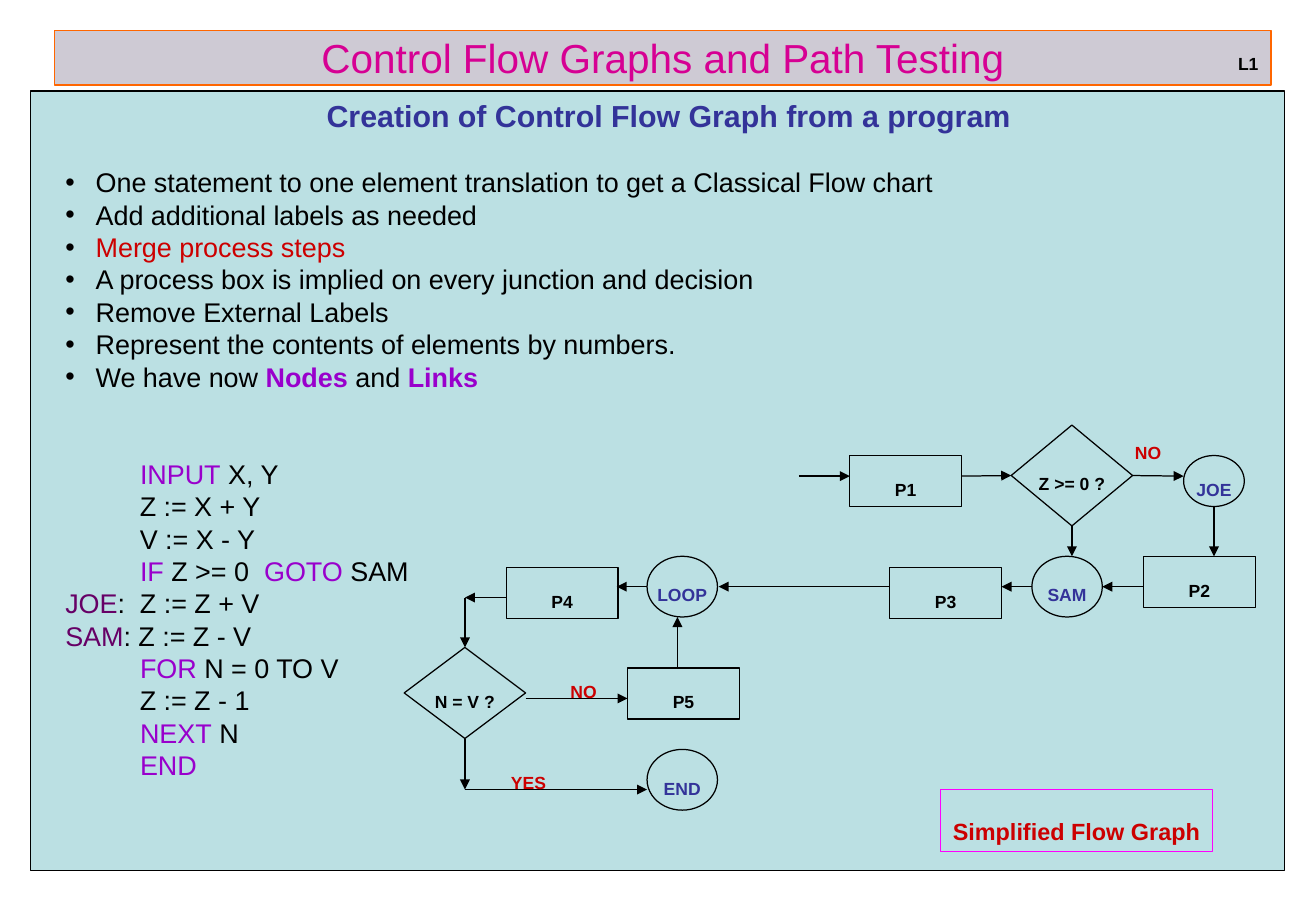
from dataclasses import dataclass

from lxml.etree import SubElement
from pptx import Presentation
from pptx.dml.color import RGBColor
from pptx.enum.shapes import MSO_CONNECTOR as Line, MSO_SHAPE as Shape
from pptx.enum.text import MSO_ANCHOR as Anchor, MSO_AUTO_SIZE as Fit, PP_ALIGN as Align
from pptx.oxml.ns import qn
from pptx.util import Inches, Pt


@dataclass(frozen=True)
class Theme:
    font: str = "Arial"
    title: str = "D60093"
    title_fill: str = "CECAD4"
    title_line: str = "FF6600"
    panel: str = "BBE0E3"
    ink: str = "000000"
    heading: str = "333399"
    alert: str = "CC0000"
    keyword: str = "9900CC"
    label: str = "660066"
    caption_line: str = "FF00FF"
    title_size: int = 24
    heading_size: int = 18
    body_size: int = 16
    node_size: int = 18
    caption_size: int = 24
    line_width: float = 0.75


THEME = Theme()


def write(paragraph, text, size=THEME.body_size, color=THEME.ink, bold=False, lowered=False):
    run = paragraph.add_run()
    run.text = text
    run.font.name, run.font.size, run.font.bold = THEME.font, Pt(size), bold
    run.font.color.rgb = RGBColor.from_string(color)
    if lowered:
        run.font._element.set("baseline", "-12000")


class FlowSlide:
    def __init__(self, deck, theme):
        self.theme = theme
        self.slide = deck.slides.add_slide(deck.slide_layouts[5])
        self.shapes = self.slide.shapes

    def paint(self, shape, fill, line):
        if fill:
            shape.fill.solid()
            shape.fill.fore_color.rgb = RGBColor.from_string(fill)
        else:
            shape.fill.background()
        shape.line.color.rgb = RGBColor.from_string(line)
        shape.line.width = Pt(self.theme.line_width)

    def title(self, text, box):
        title = self.shapes.title
        title.left, title.top, title.width, title.height = map(Inches, box)
        self.paint(title, self.theme.title_fill, self.theme.title_line)
        frame = title.text_frame
        frame.auto_size, frame.vertical_anchor = Fit.NONE, Anchor.MIDDLE
        frame.paragraphs[0].alignment = Align.CENTER
        write(frame.paragraphs[0], text, size=self.theme.title_size, color=self.theme.title)

    def block(self, kind, box, fill=None, line=THEME.ink):
        shape = self.shapes.add_shape(kind, *map(Inches, box))
        shape.shadow.inherit = False
        self.paint(shape, fill, line)
        return shape

    def node(self, kind, text, box, color=THEME.ink):
        shape = self.block(kind, box, self.theme.panel)
        frame = shape.text_frame
        frame.word_wrap, frame.vertical_anchor = False, Anchor.MIDDLE
        frame.paragraphs[0].alignment = Align.CENTER
        write(frame.paragraphs[0], text, size=self.theme.node_size, color=color,
              bold=True, lowered=True)
        return shape

    def tag(self, text, box, size=THEME.node_size, color=THEME.alert, line=None):
        if line:
            shape = self.block(Shape.RECTANGLE, box, line=line)
        else:
            shape = self.shapes.add_textbox(*map(Inches, box))
        frame = shape.text_frame
        frame.word_wrap, frame.auto_size = False, Fit.SHAPE_TO_FIT_TEXT
        frame.vertical_anchor = Anchor.TOP
        frame.paragraphs[0].alignment = Align.LEFT
        write(frame.paragraphs[0], text, size=size, color=color, bold=True, lowered=True)

    def text_box(self, box):
        frame = self.shapes.add_textbox(*map(Inches, box)).text_frame
        frame.word_wrap = True
        return frame

    def line_of_text(self, paragraph, parts, indent=(0.38, -0.19), bullet=False, before=0):
        properties = paragraph._p.get_or_add_pPr()
        margin, first = indent
        properties.set("marL", str(Inches(margin)))
        properties.set("indent", str(Inches(first)))
        if before:
            paragraph.space_before = Pt(before)
        if bullet:
            bullet_color = SubElement(properties, qn("a:buClr"))
            SubElement(bullet_color, qn("a:srgbClr")).set("val", self.theme.ink)
            SubElement(properties, qn("a:buFont")).set("typeface", self.theme.font)
            SubElement(properties, qn("a:buChar")).set("char", "•")
        for text, style in parts:
            write(paragraph, text, **style)

    def arrow(self, start, end, leaves=None, enters=None):
        arrow = self.shapes.add_connector(Line.STRAIGHT, *map(Inches, start + end))
        if leaves:
            arrow.begin_connect(*leaves)
        if enters:
            arrow.end_connect(*enters)
        arrow.line.color.rgb = RGBColor.from_string(self.theme.ink)
        arrow.line.width = Pt(self.theme.line_width)
        SubElement(arrow.line._get_or_add_ln(), qn("a:tailEnd")).set("type", "triangle")
        SubElement(arrow._element.spPr, qn("a:effectLst"))


PLAIN = {}
KEYWORD = {"color": THEME.keyword}
STRONG = {"color": THEME.keyword, "bold": True}
ALERT = {"color": THEME.alert}
LABEL = {"color": THEME.label}
PAD = (" " * 10, PLAIN)

STEPS = [
    [("One statement to one element translation to get a Classical Flow chart", PLAIN)],
    [("Add additional labels as needed", PLAIN)],
    [("Merge process steps", ALERT)],
    [("A process box is implied on every junction and decision", PLAIN)],
    [("Remove External Labels", PLAIN)],
    [("Represent the contents of elements by numbers.", PLAIN)],
    [("We have now ", PLAIN), ("Nodes", STRONG), (" and ", PLAIN), ("Links", STRONG)],
]
PROGRAM = [
    [PAD, ("INPUT", KEYWORD), (" X, Y", PLAIN)],
    [PAD, ("Z := X + Y", PLAIN)],
    [PAD, ("V := X - Y", PLAIN)],
    [PAD, ("IF", KEYWORD), (" Z >= 0  ", PLAIN), ("GOTO", KEYWORD), (" SAM", PLAIN)],
    [("JOE", LABEL), (":  Z := Z + V", PLAIN)],
    [("SAM", LABEL), (": Z := Z - V", PLAIN)],
    [PAD, ("FOR", KEYWORD), (" N = 0 TO V", PLAIN)],
    [PAD, ("Z := Z - 1", PLAIN)],
    [PAD, ("NEXT", KEYWORD), (" N", PLAIN)],
    [PAD, ("END", KEYWORD)],
]
PROCESSES = {"P1": (7, 3.75), "P2": (9.42, 4.58), "P3": (7.33, 4.67),
             "P4": (4.17, 4.67), "P5": (5.17, 5.5)}
JUNCTIONS = {"JOE": (9.75, 3.75, 0.5, 0.42), "SAM": (8.5, 4.58, 0.58, 0.5),
             "LOOP": (5.33, 4.58, 0.58, 0.5), "END": (5.33, 6.17, 0.58, 0.5)}
BRANCHES = [("NO", 9.25, 3.45), ("NO", 4.6, 5.42), ("YES", 4.11, 6.17)]
TOP, LEFT, BOTTOM, RIGHT = range(4)


def main():
    deck = Presentation()
    deck.slide_width, deck.slide_height = Inches(10.84), Inches(7.5)
    page = FlowSlide(deck, THEME)

    # Title, panel and level mark
    page.title("Control Flow Graphs and Path Testing", (0.45, 0.25, 10.02, 0.45))
    page.block(Shape.RECTANGLE, (0.25, 0.75, 10.33, 6.42), THEME.panel)
    page.tag("L1", (10.1, 0.25, 0.37, 0.41), color=THEME.ink)

    # Heading, steps and program listing
    body = page.text_box((0.25, 0.75, 10.33, 5.73))
    heading = body.paragraphs[0]
    heading.alignment = Align.CENTER
    page.line_of_text(heading, [("Creation of Control Flow Graph from a program", {
        "size": THEME.heading_size, "color": THEME.heading, "bold": True})])
    for row, step in enumerate(STEPS):
        page.line_of_text(body.add_paragraph(), step, indent=(0.44, -0.25), bullet=True,
                          before=0 if row else 19.2)
    for row, statement in enumerate(PROGRAM):
        page.line_of_text(body.add_paragraph(), statement, before=0 if row else 38.4)

    # Flow graph nodes
    sign_test = page.node(Shape.DIAMOND, "Z >= 0 ?", (8.33, 3.5, 1, 0.83))
    loop_test = page.node(Shape.DIAMOND, "N = V ?", (3.33, 5.33, 1, 0.75))
    for name, corner in PROCESSES.items():
        page.node(Shape.RECTANGLE, name, corner + (0.92, 0.42))
    for name, box in JUNCTIONS.items():
        page.node(Shape.OVAL, name, box, color=THEME.heading)

    # Flow graph links
    page.arrow((6.58, 3.92), (7, 3.92))
    page.arrow((7.92, 3.92), (8.33, 3.92), enters=(sign_test, LEFT))
    page.arrow((9.33, 3.92), (9.75, 3.92), leaves=(sign_test, RIGHT))
    page.arrow((8.83, 4.33), (8.83, 4.58), leaves=(sign_test, BOTTOM))
    page.arrow((10, 4.17), (10, 4.58))
    for start, end in [(9.42, 9.08), (8.5, 8.25), (7.33, 5.92), (5.33, 5.08)]:
        page.arrow((start, 4.83), (end, 4.83))
    page.arrow((4.17, 4.92), (3.83, 4.92))
    page.arrow((3.83, 4.92), (3.83, 5.33), enters=(loop_test, TOP))
    page.arrow((4.33, 5.75), (5.17, 5.75))
    page.arrow((5.58, 5.5), (5.58, 5.08))
    page.arrow((3.83, 6.08), (3.83, 6.5), leaves=(loop_test, BOTTOM))
    page.arrow((3.83, 6.5), (5.33, 6.5))

    # Branch labels and caption
    for answer, left, top in BRANCHES:
        page.tag(answer, (left, top, 0.5, 0.41))
    page.tag("Simplified Flow Graph", (7.75, 6.5, 2.24, 0.51),
             size=THEME.caption_size, line=THEME.caption_line)

    deck.save("out.pptx")


if __name__ == "__main__":
    main()
